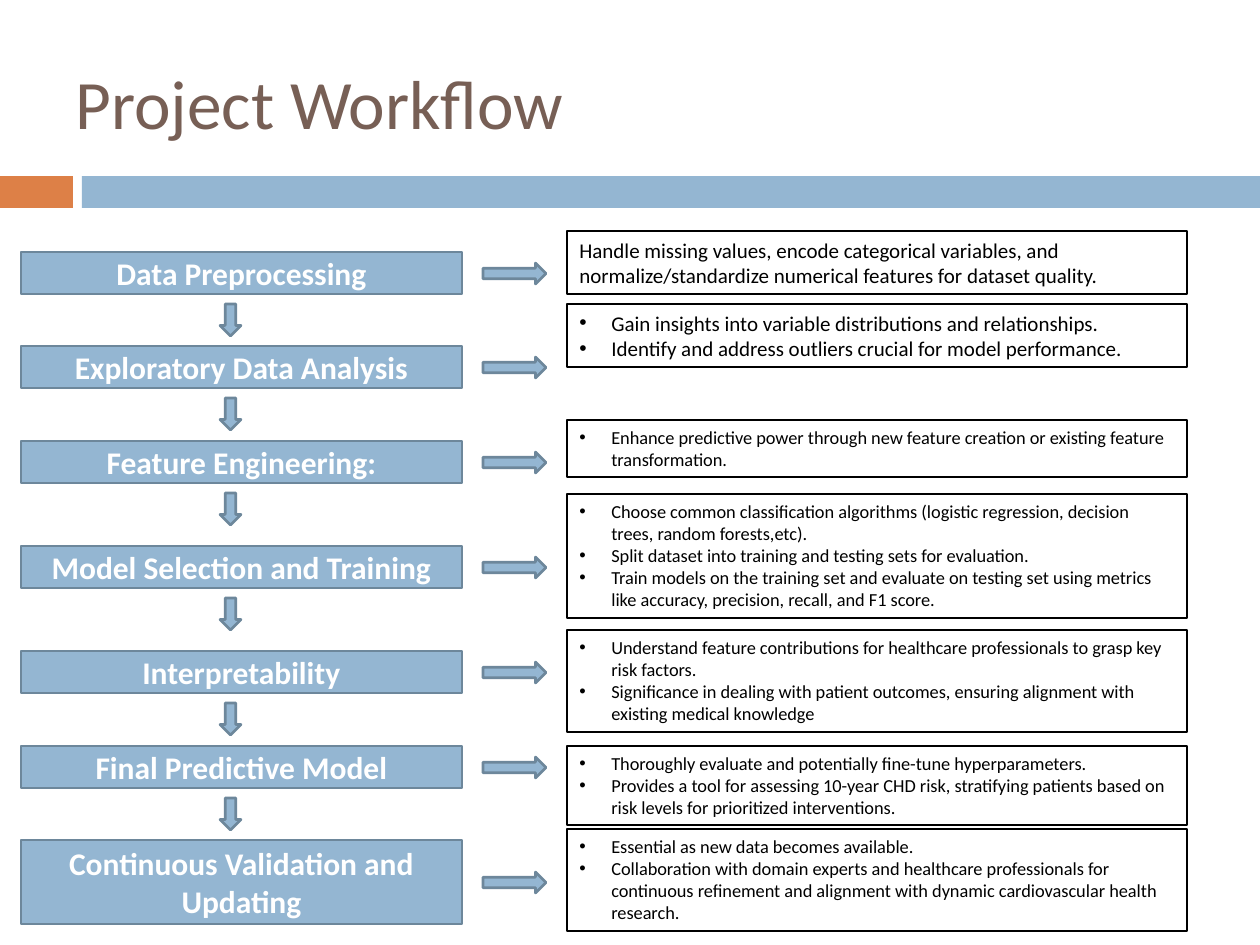
from dataclasses import dataclass

from lxml import etree
from pptx import Presentation
from pptx.dml.color import RGBColor
from pptx.enum.shapes import MSO_SHAPE
from pptx.enum.text import MSO_ANCHOR, MSO_AUTO_SIZE, PP_ALIGN
from pptx.oxml.ns import qn
from pptx.util import Pt

EMU_PER_PX = 914400 / 126
RECTANGLE = MSO_SHAPE.RECTANGLE
PROCESS = MSO_SHAPE.FLOWCHART_PROCESS
DOWN_ARROW = MSO_SHAPE.DOWN_ARROW
RIGHT_ARROW = MSO_SHAPE.RIGHT_ARROW
LEFT, CENTER = PP_ALIGN.LEFT, PP_ALIGN.CENTER
TOP, MIDDLE = MSO_ANCHOR.TOP, MSO_ANCHOR.MIDDLE
FIT_SHAPE, NO_FIT = MSO_AUTO_SIZE.SHAPE_TO_FIT_TEXT, MSO_AUTO_SIZE.NONE


@dataclass(frozen=True)
class Theme:
    font: str = "Calibri"
    title: str = "775F55"
    accent: str = "DD8047"
    blue: str = "94B6D2"
    blue_edge: str = "6D879B"
    white: str = "FFFFFF"
    black: str = "000000"
    title_size: float = 39.6
    step_size: float = 18
    large_size: float = 12
    small_size: float = 10.5
    heavy_line: float = 1.5
    thin_line: float = 0.75


def px(value):
    return round(value * EMU_PER_PX)


class WorkflowSlide:
    def __init__(self, presentation, theme):
        self.theme = theme
        self.slide = presentation.slides.add_slide(presentation.slide_layouts[5])

    def add_text(self, paragraph, text, size, color, bold=False, align=LEFT):
        paragraph.alignment = align
        run = paragraph.add_run()
        run.text = text
        run.font.name = self.theme.font
        run.font.size = Pt(size)
        run.font.bold = bold
        run.font.color.rgb = RGBColor.from_string(color)

    def bullet(self, paragraph):
        properties = paragraph._p.get_or_add_pPr()
        properties.set("marL", str(px(32)))
        properties.set("indent", str(-px(32)))
        etree.SubElement(properties, qn("a:buFont")).set("typeface", "Arial")
        etree.SubElement(properties, qn("a:buChar")).set("char", "•")

    def title(self, text, left, top, width, height):
        shape = self.slide.shapes.title
        shape.left, shape.top = px(left), px(top)
        shape.width, shape.height = px(width), px(height)
        frame = shape.text_frame
        frame.auto_size = NO_FIT
        frame.word_wrap = True
        frame.vertical_anchor = MIDDLE
        frame.margin_top, frame.margin_bottom = px(16), px(6)
        self.add_text(frame.paragraphs[0], text, self.theme.title_size, self.theme.title)

    def block(self, kind, left, top, width, height, fill=None, line=None, weight=0):
        shape = self.slide.shapes.add_shape(kind, px(left), px(top), px(width), px(height))
        shape.shadow.inherit = False
        if fill:
            shape.fill.solid()
            shape.fill.fore_color.rgb = RGBColor.from_string(fill)
        else:
            shape.fill.background()
        if line:
            shape.line.color.rgb = RGBColor.from_string(line)
            shape.line.width = Pt(weight)
        else:
            shape.line.fill.background()
        return shape

    def flow_shape(self, kind, left, top, width, height):
        theme = self.theme
        return self.block(kind, left, top, width, height,
                          theme.blue, theme.blue_edge, theme.heavy_line)

    def step(self, text, top, height):
        frame = self.flow_shape(PROCESS, 21, top, 441, height).text_frame
        frame.word_wrap = True
        frame.vertical_anchor = MIDDLE
        self.add_text(frame.paragraphs[0], text, self.theme.step_size,
                      self.theme.white, True, CENTER)

    def detail(self, lines, top, height, size, bulleted):
        theme = self.theme
        shape = self.block(RECTANGLE, 567, top, 620, height,
                           line=theme.black, weight=theme.thin_line)
        frame = shape.text_frame
        frame.word_wrap = True
        frame.vertical_anchor = TOP
        frame.auto_size = FIT_SHAPE
        for index, line in enumerate(lines):
            paragraph = frame.add_paragraph() if index else frame.paragraphs[0]
            self.add_text(paragraph, line, size, theme.black)
            if bulleted:
                self.bullet(paragraph)


STEPS = [
    ("Data Preprocessing", 252, 42, 231, 63, [
        "Handle missing values, encode categorical variables, and "
        "normalize/standardize numerical features for dataset quality."]),
    ("Exploratory Data Analysis", 346, 42, 304, 63, [
        "Gain insights into variable distributions and relationships.",
        "Identify and address outliers crucial for model performance."]),
    ("Feature Engineering:", 441, 42, 420, 57, [
        "Enhance predictive power through new feature creation or existing "
        "feature transformation."]),
    ("Model Selection and Training", 546, 42, 494, 124, [
        "Choose common classification algorithms (logistic regression, "
        "decision trees, random forests,etc).",
        "Split dataset into training and testing sets for evaluation.",
        "Train models on the training set and evaluate on testing set using "
        "metrics like accuracy, precision, recall, and F1 score."]),
    ("Interpretability", 651, 42, 630, 102, [
        "Understand feature contributions for healthcare professionals to "
        "grasp key risk factors.",
        "Significance in dealing with patient outcomes, ensuring alignment "
        "with existing medical knowledge"]),
    ("Final Predictive Model", 746, 42, 746, 79, [
        "Thoroughly evaluate and potentially fine-tune hyperparameters.",
        "Provides a tool for assessing 10-year CHD risk, stratifying patients "
        "based on risk levels for prioritized interventions."]),
    ("Continuous Validation and Updating", 840, 84, 829, 102, [
        "Essential as new data becomes available.",
        "Collaboration with domain experts and healthcare professionals for "
        "continuous refinement and alignment with dynamic cardiovascular "
        "health research."]),
]


def main():
    presentation = Presentation()
    presentation.slide_width, presentation.slide_height = px(1260), px(945)
    theme = Theme()
    workflow = WorkflowSlide(presentation, theme)
    workflow.block(RECTANGLE, 0, 176, 73, 32, theme.accent)
    workflow.block(RECTANGLE, 82, 176, 1178, 32, theme.blue)
    workflow.title("Project Workflow", 63, 42, 1134, 109)

    for index, (name, top, height, detail_top, detail_height, lines) in enumerate(STEPS):
        workflow.step(name, top, height)
        if index < len(STEPS) - 1:
            workflow.flow_shape(DOWN_ARROW, 220, top + height + 10, 21, 32)
        workflow.flow_shape(RIGHT_ARROW, 483, top + height // 2 - 10, 63, 21)
        size = theme.large_size if index < 2 else theme.small_size
        workflow.detail(lines, detail_top, detail_height, size, bulleted=index > 0)

    presentation.save("out.pptx")


if __name__ == "__main__":
    main()
